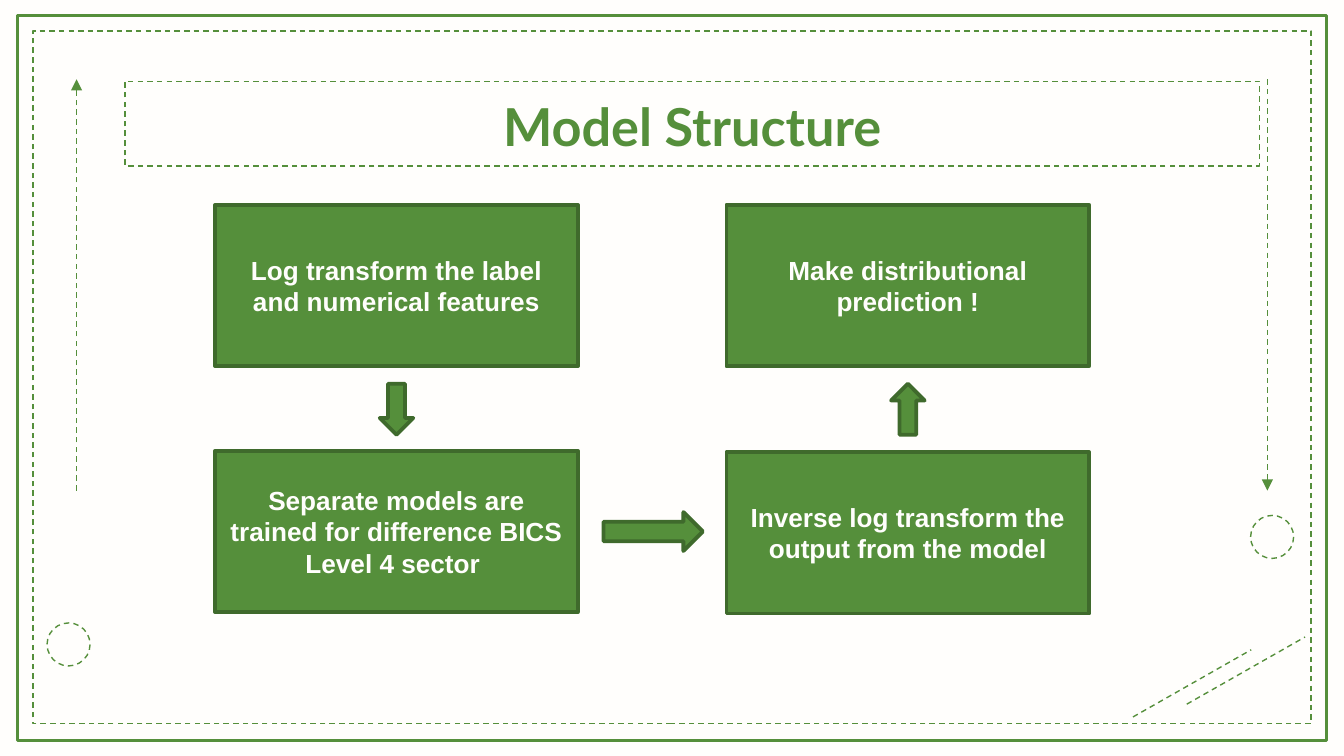
from dataclasses import dataclass

import pptx
import pptx.dml.color
import pptx.enum.dml
import pptx.enum.shapes
import pptx.enum.text
import pptx.oxml
import pptx.oxml.ns
import pptx.util

PX = 4572  # EMU per px: 200 px to the inch
SHAPE = pptx.enum.shapes.MSO_SHAPE
ANCHOR = pptx.enum.text.MSO_ANCHOR


@dataclass(frozen=True)
class Theme:
    paper: str = "FFFEFC"
    green: str = "558F3B"
    dark_green: str = "3F6A2C"
    title_font: str = "Lato"
    body_font: str = "Arial"
    title_size: int = 28
    body_size: int = 14
    thin: float = 0.75
    frame: float = 1.5
    outline: float = 2


@dataclass(frozen=True)
class Box:
    x: int
    y: int
    w: int
    h: int


@dataclass(frozen=True)
class Line:
    x1: int
    y1: int
    x2: int
    y2: int
    arrow: bool = False


@dataclass(frozen=True)
class Step:
    x: int
    y: int
    text: str


@dataclass(frozen=True)
class Arrow:
    kind: SHAPE
    box: Box
    rotation: int = 0


THEME = Theme()
SLIDE_W, SLIDE_H = 2000, 1125
OUTER_FRAME = Box(26, 23, 1948, 1079)
INNER_FRAME = Box(49, 46, 1902, 1031)
TITLE = Box(186, 121, 1688, 126)
CIRCLES = [Box(70, 927, 64, 64), Box(1861, 767, 64, 64)]
LINES = [
    Line(1766, 1048, 1942, 948),
    Line(1686, 1067, 1862, 967),
    Line(114, 730, 114, 118, arrow=True),
    Line(1886, 118, 1886, 730, arrow=True),
]
STEP_W, STEP_H = 540, 240
LEFT, RIGHT, TOP = 320, 1081, 305
STEPS = [
    Step(LEFT, TOP, "Log transform the label and numerical features"),
    Step(LEFT, 671, "Separate models are trained for difference BICS Level 4 sector "),
    Step(RIGHT, 673, "Inverse log transform the output from the model"),
    Step(RIGHT, TOP, "Make distributional prediction !"),
]
ARROWS = [
    Arrow(SHAPE.DOWN_ARROW, Box(565, 571, 50, 76)),
    Arrow(SHAPE.DOWN_ARROW, Box(1326, 571, 50, 76), rotation=180),
    Arrow(SHAPE.RIGHT_ARROW, Box(898, 762, 148, 58)),
]


def px(n: int) -> pptx.util.Emu:
    return pptx.util.Emu(n * PX)


def rgb(color: str) -> pptx.dml.color.RGBColor:
    return pptx.dml.color.RGBColor.from_string(color)


def add_ln_child(line, tag: str, **attrs: str) -> None:
    """Append a detail that LineFormat does not offer, such as a join or arrowhead."""
    ln = line._get_or_add_ln()
    child = pptx.oxml.parse_xml(f"<a:{tag} {pptx.oxml.ns.nsdecls('a')}/>")
    for name, value in attrs.items():
        child.set(name, value)
    ln.append(child)


def style_line(line, color: str, width: float, dashed: bool = False) -> None:
    line.color.rgb = rgb(color)
    line.width = pptx.util.Pt(width)
    if dashed:
        line.dash_style = pptx.enum.dml.MSO_LINE.DASH
    add_ln_child(line, "round")


def add_shape(s, kind: SHAPE, box: Box, *, fill: str = "", line: str = THEME.green,
              width: float = THEME.thin, dashed: bool = False):
    sp = s.shapes.add_shape(kind, px(box.x), px(box.y), px(box.w), px(box.h))
    sp.shadow.inherit = False
    if fill:
        sp.fill.solid()
        sp.fill.fore_color.rgb = rgb(fill)
    else:
        sp.fill.background()
    style_line(sp.line, line, width, dashed)
    return sp


def add_line(s, line: Line) -> None:
    cxn = s.shapes.add_connector(pptx.enum.shapes.MSO_CONNECTOR.STRAIGHT,
                                 px(line.x1), px(line.y1), px(line.x2), px(line.y2))
    style_line(cxn.line, THEME.green, THEME.thin, dashed=True)
    if line.arrow:
        add_ln_child(cxn.line, "tailEnd", type="triangle")
    cxn._element.spPr.append(
        pptx.oxml.parse_xml(f"<a:effectLst {pptx.oxml.ns.nsdecls('a')}/>"))


def set_text(sp, text: str, *, font: str, size: int, color: str,
             anchor: ANCHOR = ANCHOR.MIDDLE, inset_y: int = 10) -> None:
    tf = sp.text_frame
    tf.word_wrap = True
    tf.vertical_anchor = anchor
    tf.margin_left = tf.margin_right = px(20)
    tf.margin_top = tf.margin_bottom = px(inset_y)
    p = tf.paragraphs[0]
    p.alignment = pptx.enum.text.PP_ALIGN.CENTER
    r = p.add_run()
    r.text = text
    r.font.name = font
    r.font.size = pptx.util.Pt(size)
    r.font.bold = True
    r.font.color.rgb = rgb(color)


def draw_frame(s) -> None:
    add_shape(s, SHAPE.RECTANGLE, OUTER_FRAME, width=THEME.frame)
    add_shape(s, SHAPE.RECTANGLE, INNER_FRAME, dashed=True)
    for circle in CIRCLES:
        add_shape(s, SHAPE.OVAL, circle, fill=THEME.paper, dashed=True)
    for line in LINES:
        add_line(s, line)


def draw_flow(s) -> None:
    solid = dict(fill=THEME.green, line=THEME.dark_green, width=THEME.outline)
    for step in STEPS:
        sp = add_shape(s, SHAPE.RECTANGLE, Box(step.x, step.y, STEP_W, STEP_H), **solid)
        set_text(sp, step.text, font=THEME.body_font, size=THEME.body_size,
                 color=THEME.paper)
    for arrow in ARROWS:
        sp = add_shape(s, arrow.kind, arrow.box, **solid)
        sp.rotation = arrow.rotation


def main() -> None:
    prs = pptx.Presentation()
    prs.slide_width, prs.slide_height = px(SLIDE_W), px(SLIDE_H)
    s = prs.slides.add_slide(prs.slide_layouts[6])
    s.background.fill.solid()
    s.background.fill.fore_color.rgb = rgb(THEME.paper)

    draw_frame(s)
    title = add_shape(s, SHAPE.RECTANGLE, TITLE, dashed=True)
    set_text(title, "Model Structure", font=THEME.title_font, size=THEME.title_size,
             color=THEME.green, anchor=ANCHOR.TOP, inset_y=20)
    draw_flow(s)
    prs.save("out.pptx")


if __name__ == "__main__":
    main()
